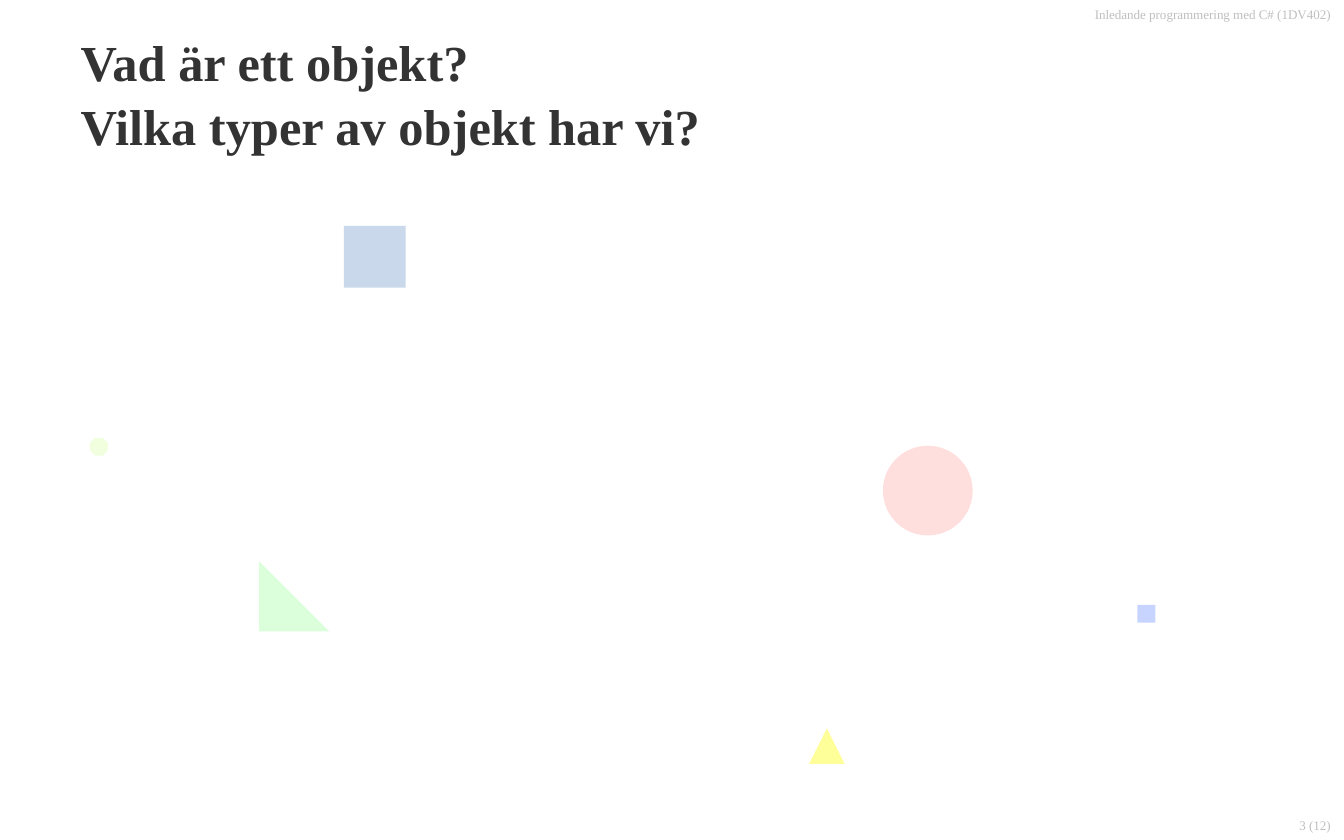
from copy import deepcopy

from lxml import etree
from pptx import Presentation
from pptx.dml.color import RGBColor
from pptx.enum.shapes import MSO_SHAPE
from pptx.enum.text import MSO_ANCHOR, MSO_AUTO_SIZE, PP_ALIGN
from pptx.oxml.ns import qn
from pptx.util import Pt

RECT, OVAL, OCTAGON = MSO_SHAPE.RECTANGLE, MSO_SHAPE.OVAL, MSO_SHAPE.OCTAGON
RIGHT_TRI, TRI = MSO_SHAPE.RIGHT_TRIANGLE, MSO_SHAPE.ISOSCELES_TRIANGLE
TOP, BOTTOM = MSO_ANCHOR.TOP, MSO_ANCHOR.BOTTOM
LEFT, RIGHT = PP_ALIGN.LEFT, PP_ALIGN.RIGHT

FONT = "Times New Roman"
COLORS = {
    "title": "333333", "note": "BFBFBF", "blue": "4F81BD", "red": "FF0000",
    "green": "00FF00", "yellow": "FFFF99", "royal": "3366FF", "lime": "DAFF9F",
}


def write(box, text, size, color, bold=False, align=LEFT, anchor=TOP,
          inset=3.6, spacing=1.0):
    frame = box.text_frame
    frame.word_wrap = True
    frame.auto_size = MSO_AUTO_SIZE.NONE
    frame.vertical_anchor = anchor
    frame.margin_left = frame.margin_right = Pt(7.2)
    frame.margin_top = frame.margin_bottom = Pt(inset)
    para = frame.paragraphs[0]
    para.text = text
    para.alignment = align
    para.line_spacing = spacing
    para.space_before = Pt(0)
    for run in para.runs:
        run.font.name = FONT
        run.font.size = Pt(size)
        run.font.bold = bold
        run.font.color.rgb = RGBColor.from_string(COLORS[color])
    # Line breaks take the format of the text around them
    for brk in para._p.findall(qn("a:br")):
        brk.append(deepcopy(para.runs[0]._r.rPr))


deck = Presentation()
deck.slide_width, deck.slide_height = Pt(720), Pt(450)
slide = deck.slides.add_slide(deck.slide_layouts[5])

# Page number and course name
page = slide.shapes.add_textbox(Pt(600), Pt(434), Pt(120), Pt(16))
write(page, "3 (12)", 7, "note", align=RIGHT, anchor=BOTTOM)
course = slide.shapes.add_textbox(Pt(390), Pt(0), Pt(330), Pt(24.5))
write(course, "Inledande programmering med C# (1DV402)", 7, "note", align=RIGHT)

# Title
title = slide.shapes.title
title.left, title.top, title.width, title.height = Pt(36), Pt(8), Pt(648), Pt(101.5)
write(title, "Vad är ett objekt?\vVilka typer av objekt har vi?", 27, "title",
      bold=True, inset=7.2, spacing=1.05)

# Scattered objects: kind, left, top, side, colour, opacity in percent
OBJECTS = [
    (RECT, 184.2, 121, 33.1, "blue", 30),
    (OVAL, 473, 238.8, 48.1, "red", 13),
    (RIGHT_TRI, 138.8, 300.7, 37.6, "green", 14),
    (TRI, 433.5, 390.2, 19, "yellow", 100),
    (RECT, 609.3, 324, 9.6, "royal", 28),
    (OCTAGON, 48.2, 234.5, 9.6, "lime", 33),
]
for kind, left, top, side, color, alpha in OBJECTS:
    shape = slide.shapes.add_shape(kind, Pt(left), Pt(top), Pt(side), Pt(side))
    shape.shadow.inherit = False
    shape.line.fill.background()
    shape.fill.solid()
    shape.fill.fore_color.rgb = RGBColor.from_string(COLORS[color])
    if alpha < 100:
        tone = shape._element.spPr.find(qn("a:solidFill"))[0]
        etree.SubElement(tone, qn("a:alpha"), val=str(alpha * 1000))

deck.save("out.pptx")
